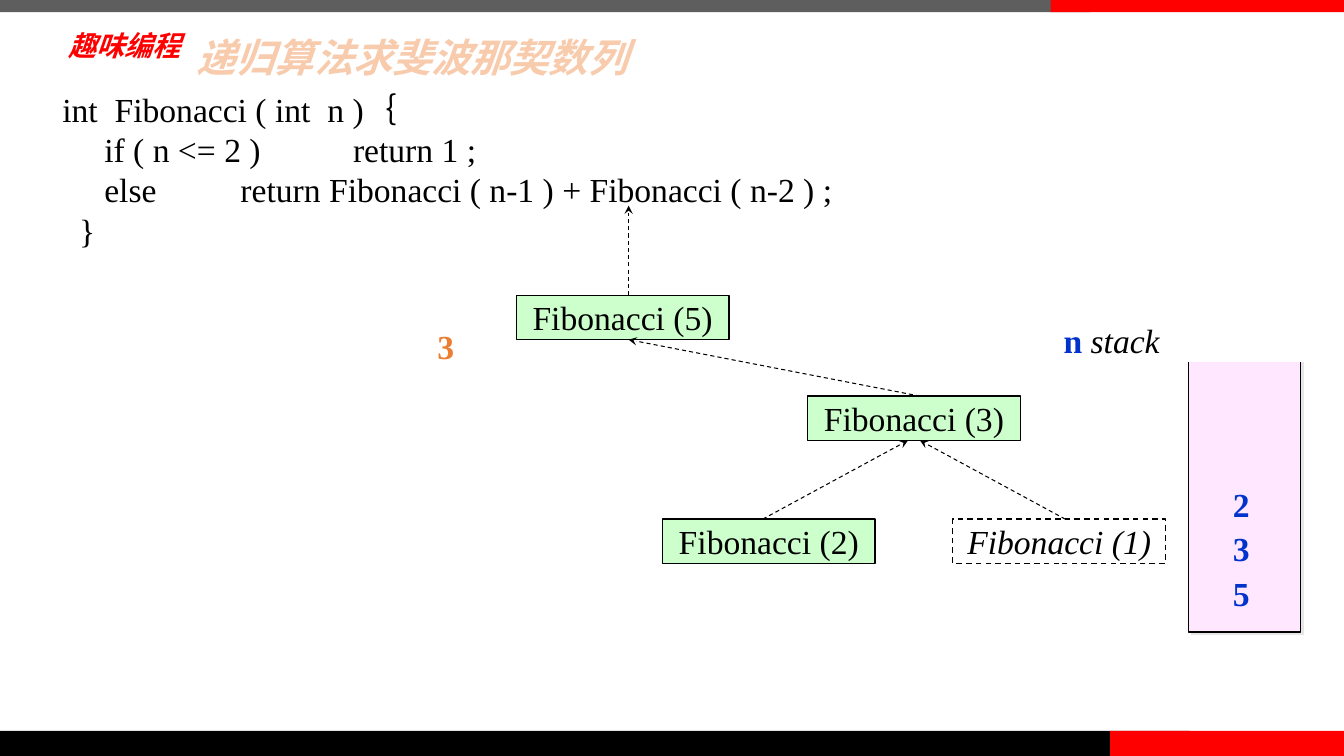
from lxml import etree
from pptx import Presentation
from pptx.dml.color import RGBColor
from pptx.enum.dml import MSO_LINE_DASH_STYLE as DASH
from pptx.enum.shapes import MSO_CONNECTOR, MSO_SHAPE
from pptx.enum.text import MSO_ANCHOR as ANCHOR, PP_ALIGN as ALIGN
from pptx.oxml import parse_xml
from pptx.oxml.ns import nsdecls, qn
from pptx.util import Inches, Pt

BLACK = RGBColor(0x00, 0x00, 0x00)
WHITE = RGBColor(0xFF, 0xFF, 0xFF)
GREY = RGBColor(0x5E, 0x5E, 0x5E)
RED = RGBColor(0xFF, 0x00, 0x00)
GREEN = RGBColor(0xCC, 0xFF, 0xCC)
PINK = RGBColor(0xFF, 0xE7, 0xFF)
BLUE = RGBColor(0x00, 0x33, 0xCC)
ORANGE = RGBColor(0xED, 0x7D, 0x31)
PEACH = RGBColor(0xF8, 0xCB, 0xAD)
SERIF, CJK = "Times New Roman", "Noto Sans CJK SC"

# Content
TITLE = "递归算法求斐波那契数列"
SCHOOL = "趣味编程"
CODE = [
    "int  Fibonacci ( int  n )｛",
    "     if ( n <= 2 )           return 1 ;",
    "     else          return Fibonacci ( n-1 ) + Fibonacci ( n-2 ) ;",
    "  }",
]
BARS = [  # left, top, width, height, colour
    (0, 0, 10.81, 0.12, GREY),
    (0, 7.25, 11.8, 0.25, BLACK),
    (11.01, 7.25, 2.32, 0.25, RED),
    (10.42, 0, 2.91, 0.12, RED),
]
CALLS = {5: (5.12, 2.93), 3: (8.01, 3.93), 1: (9.45, 5.15), 2: (6.57, 5.15)}
PENDING = 1  # the call not yet made
RETURNS = [(3, 5, 1, 1), (2, 3, -1, -1), (1, 3, 1, 1)]  # child, parent, sides
STACK = [5, 3, 2]  # bottom to top
RESULT = 3

CALL_W, CALL_H = 2.11, 0.44
SIDE_SHIFT = 0.06  # arrows meet a box slightly beside its middle
STACK_STEP = 0.44

prs = Presentation()
prs.slide_width, prs.slide_height = Inches(13.33), Inches(7.5)
slide = prs.slides.add_slide(prs.slide_layouts[5])
shapes = slide.shapes


def inches(*lengths):
    return [Inches(length) for length in lengths]


def write(paragraph, text, east_asian=None, **style):
    run = paragraph.add_run()
    run.text = text
    font = run.font
    font.color.rgb = style.pop("color", BLACK)
    for name, value in {"size": Pt(24), "name": SERIF, **style}.items():
        setattr(font, name, value)
    if east_asian:
        ea = etree.SubElement(run._r.get_or_add_rPr(), qn("a:ea"))
        ea.set("typeface", east_asian)


def add_box(left, top, width, height, fill, outline=None):
    box = shapes.add_shape(MSO_SHAPE.RECTANGLE, *inches(left, top, width, height))
    box.shadow.inherit = False
    box.fill.solid()
    box.fill.fore_color.rgb = fill
    if outline is None:
        box.line.fill.background()
    else:
        box.line.color.rgb = outline
        box.line.width = Pt(1)
    box.text_frame.word_wrap = False
    box.text_frame.vertical_anchor = ANCHOR.MIDDLE
    return box


def add_text(left, top, width, height):
    frame = shapes.add_textbox(*inches(left, top, width, height)).text_frame
    frame.word_wrap = False
    return frame


def add_number(number, left, top, color):
    paragraph = add_text(left, top, 0.37, 0.39).paragraphs[0]
    paragraph.line_spacing = 0.7
    write(paragraph, str(number), color=color, bold=True)


def add_arrow(*ends):
    arrow = shapes.add_connector(MSO_CONNECTOR.STRAIGHT, *inches(*ends))
    arrow.line.color.rgb = BLACK
    arrow.line.width = Pt(0.75)
    arrow.line.dash_style = DASH.DASH
    etree.SubElement(arrow.line._get_or_add_ln(), qn("a:tailEnd")).set("type", "stealth")
    etree.SubElement(arrow._element.spPr, qn("a:effectLst"))


def arrow_x(n, side):
    return CALLS[n][0] + CALL_W / 2 + side * SIDE_SHIFT


# Top and bottom bars
for *place, color in BARS:
    add_box(*place, color)

# Header
school = add_text(0.62, 0.22, 1.28, 0.45)
school.vertical_anchor = ANCHOR.MIDDLE
for side in ("left", "right", "top", "bottom"):
    setattr(school, f"margin_{side}", Inches(0.06))
write(school.paragraphs[0], SCHOOL, CJK, size=Pt(20), name="Roboto",
      color=RED, bold=True, italic=True)

title = shapes.title
title.left, title.top, title.width, title.height = inches(1.82, 0.35, 11.12, 0.54)
heading = title.text_frame
for name, value in {"margin_left": Inches(0.13), "margin_right": Inches(0.13),
                    "margin_top": Inches(0.07), "margin_bottom": Inches(0.07),
                    "vertical_anchor": ANCHOR.TOP, "word_wrap": True}.items():
    setattr(heading, name, value)
heading.paragraphs[0].alignment = ALIGN.LEFT
heading.paragraphs[0].line_spacing = 0.8
write(heading.paragraphs[0], TITLE, CJK, size=Pt(28), name=CJK,
      color=PEACH, bold=True, italic=True)

# Function code
code = add_text(0.52, 0.83, 7.91, 1.72)
for i, line in enumerate(CODE):
    write(code.add_paragraph() if i else code.paragraphs[0], line)

# Call tree
for n, (left, top) in CALLS.items():
    pending = n == PENDING
    call = add_box(left, top, CALL_W, CALL_H, WHITE if pending else GREEN, BLACK)
    if pending:
        call.line.dash_style = DASH.DASH
    label = call.text_frame.paragraphs[0]
    label.alignment = ALIGN.CENTER
    write(label, f"Fibonacci ({n})", italic=pending)

# Return arrows
root_x = arrow_x(5, 1)
add_arrow(root_x, CALLS[5][1], root_x, 2.04)
for child, parent, child_side, parent_side in RETURNS:
    add_arrow(arrow_x(child, child_side), CALLS[child][1],
              arrow_x(parent, parent_side), CALLS[parent][1] + CALL_H)

# Stack, open at the top behind its label
stack = add_box(11.79, 3.49, 1.11, 2.78, PINK, BLACK)
effects = stack._element.spPr.find(qn("a:effectLst"))
effects.append(parse_xml(
    f'<a:outerShdw {nsdecls("a")} dist="{Pt(2.8)}" dir="2700000" algn="ctr" '
    'rotWithShape="0"><a:srgbClr val="E7E6E6"/></a:outerShdw>'))
stack_label = add_box(10.45, 3.15, 2.67, 0.44, WHITE).text_frame.paragraphs[0]
stack_label.alignment = ALIGN.LEFT
write(stack_label, "n ", color=BLUE, bold=True)
write(stack_label, "stack", italic=True)
for level, n in enumerate(STACK):
    add_number(n, 12.13, 5.74 - level * STACK_STEP, BLUE)

# Returned value
add_number(RESULT, 4.24, 3.29, ORANGE)

prs.save("out.pptx")
